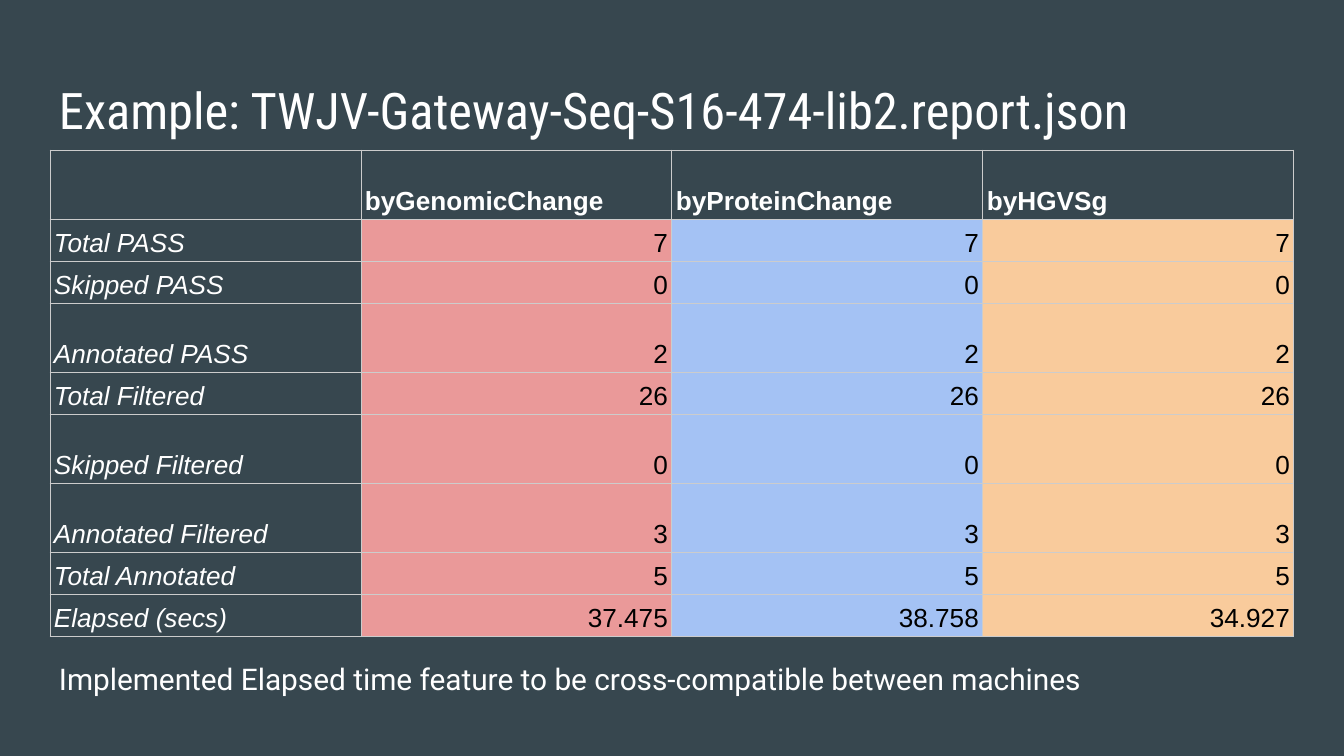
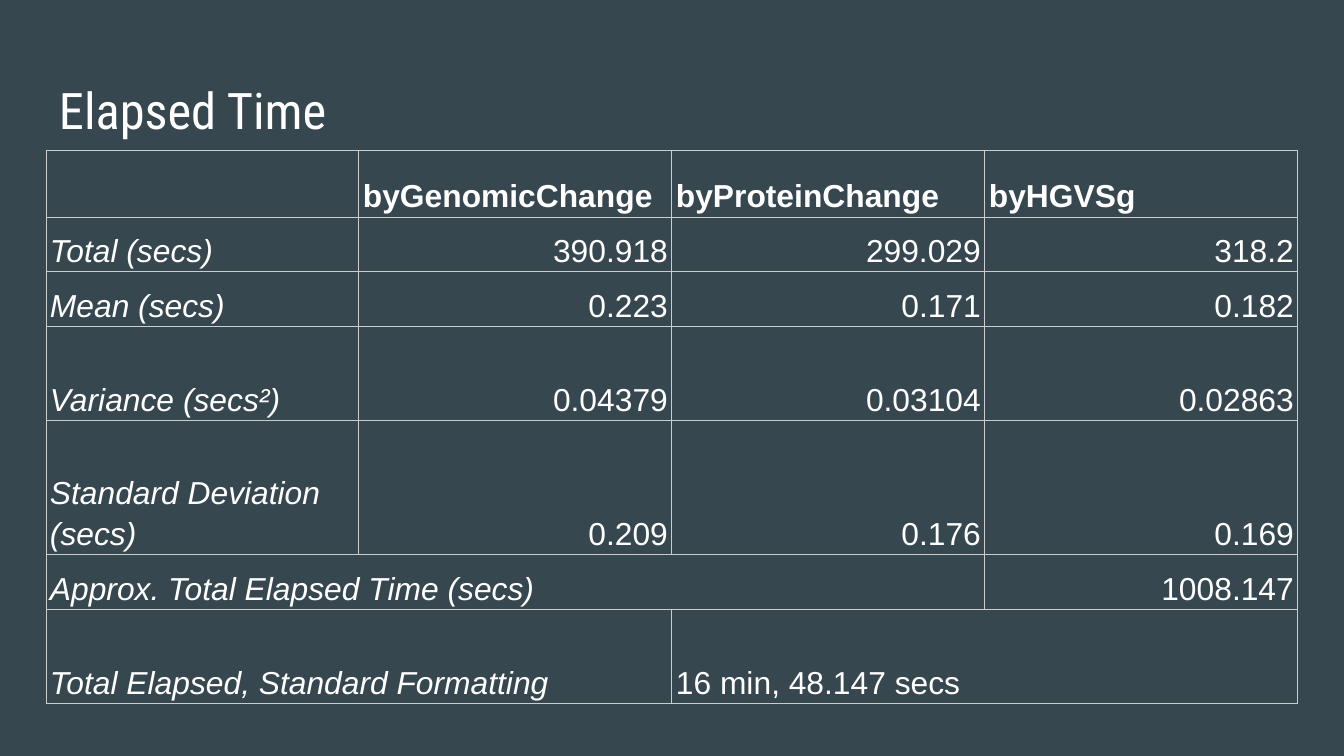
from lxml.etree import SubElement
from pptx import Presentation
from pptx.dml.color import RGBColor
from pptx.enum.text import MSO_ANCHOR, PP_ALIGN
from pptx.oxml.ns import qn
from pptx.util import Emu, Pt

BACKGROUND = RGBColor(0x37, 0x47, 0x4F)
WHITE = RGBColor(0xFF, 0xFF, 0xFF)
BLACK = RGBColor(0x00, 0x00, 0x00)
BORDER = RGBColor(0xCC, 0xCC, 0xCC)
RED = RGBColor(0xEA, 0x99, 0x99)
BLUE = RGBColor(0xA4, 0xC2, 0xF4)
ORANGE = RGBColor(0xF9, 0xCB, 0x9C)

SLIDE_W, SLIDE_H = 1344, 756
TEXT_X, TEXT_W = 46, 1252
TABLE_Y = 150
SHORT, TALL = 39, 69

HEADER = ["", "byGenomicChange", "byProteinChange", "byHGVSg"]
REPORT = [
    (SHORT, ["Total PASS", "7", "7", "7"]),
    (SHORT, ["Skipped PASS", "0", "0", "0"]),
    (TALL, ["Annotated PASS", "2", "2", "2"]),
    (SHORT, ["Total Filtered", "26", "26", "26"]),
    (TALL, ["Skipped Filtered", "0", "0", "0"]),
    (TALL, ["Annotated Filtered", "3", "3", "3"]),
    (SHORT, ["Total Annotated", "5", "5", "5"]),
    (SHORT, ["Elapsed (secs)", "37.475", "38.758", "34.927"]),
]
ELAPSED = [
    (55, ["Total (secs)", "390.918", "299.029", "318.2"]),
    (55, ["Mean (secs)", "0.223", "0.171", "0.182"]),
    (94, ["Variance (secs²)", "0.04379", "0.03104", "0.02863"]),
    (134, ["Standard Deviation (secs)", "0.209", "0.176", "0.169"]),
    (55, ["Approx. Total Elapsed Time (secs)", "", "", "1008.147"]),
    (94, ["Total Elapsed, Standard Formatting", "", "16 min, 48.147 secs", ""]),
]


def px(n):
    """Turn pixels into EMU."""
    return Emu(round(n * 9144000 / SLIDE_W))


def add_run(p, text, font, size, color=WHITE, bold=False, italic=False):
    """Add one formatted run to a paragraph."""
    r = p.add_run()
    r.text = text
    r.font.name = font
    r.font.size = Pt(size)
    r.font.color.rgb = color
    r.font.bold = bold
    r.font.italic = italic


def add_text(slide, y, h, text, font, size):
    """Add a full-width text box and return its paragraph."""
    tf = slide.shapes.add_textbox(px(TEXT_X), px(y), px(TEXT_W), px(h)).text_frame
    tf.word_wrap = True
    tf.margin_left = tf.margin_right = tf.margin_top = tf.margin_bottom = px(13)
    p = tf.paragraphs[0]
    add_run(p, text, font, size)
    return p


def add_slide(prs, title):
    """Add a dark slide with its title."""
    slide = prs.slides.add_slide(prs.slide_layouts[6])
    slide.background.fill.solid()
    slide.background.fill.fore_color.rgb = BACKGROUND
    add_text(slide, 66, 85, title, "Roboto Condensed", 27)
    return slide


def set_borders(cell):
    """Draw a thin line on all four sides of a cell."""
    tc_pr = cell._tc.get_or_add_tcPr()
    for i, side in enumerate(("a:lnL", "a:lnR", "a:lnT", "a:lnB")):
        ln = SubElement(tc_pr, qn(side), w=str(Pt(0.6)))
        fill = SubElement(ln, qn("a:solidFill"))
        SubElement(fill, qn("a:srgbClr"), val=str(BORDER))
        tc_pr.insert(i, ln)


def style_cell(cell, fill):
    """Set the fill, margins, anchor and borders of a cell."""
    if fill is None:
        cell.fill.background()
    else:
        cell.fill.solid()
        cell.fill.fore_color.rgb = fill
    cell.margin_left = cell.margin_right = px(4)
    cell.margin_top = cell.margin_bottom = px(3)
    cell.vertical_anchor = MSO_ANCHOR.BOTTOM
    set_borders(cell)


def add_table(slide, x, col_w, header_h, body, size, fills=(None,) * 3, color=WHITE):
    """Add a table with bold headings, italic labels and right-aligned values."""
    rows = [(header_h, HEADER)] + body
    height = sum(h for h, _ in rows)
    frame = slide.shapes.add_table(len(rows), len(HEADER), px(x), px(TABLE_Y),
                                   px(col_w * len(HEADER)), px(height))
    table = frame.table
    table.first_row = table.horz_banding = False
    for col in table.columns:
        col.width = px(col_w)
    for i, (h, texts) in enumerate(rows):
        table.rows[i].height = px(h)
        for j, text in enumerate(texts):
            cell = table.cell(i, j)
            is_value = i > 0 and j > 0
            style_cell(cell, fills[j - 1] if is_value else None)
            if not text:
                continue
            p = cell.text_frame.paragraphs[0]
            p.line_spacing = 1.15
            p.alignment = PP_ALIGN.RIGHT if is_value else PP_ALIGN.LEFT
            add_run(p, text, "Arial", size, color if is_value else WHITE,
                    bold=i == 0, italic=i > 0 and j == 0)
    return table


def build_report(prs):
    """Build the slide with the example report."""
    slide = add_slide(prs, "Example: TWJV-Gateway-Seq-S16-474-lib2.report.json")
    p = add_text(slide, 642, 66,
                 "Implemented Elapsed time feature to be cross-compatible between machines",
                 "Roboto", 16)
    p.line_spacing = 1.15
    p.space_after = Pt(12)
    add_table(slide, 50, 311, TALL, REPORT, 14, (RED, BLUE, ORANGE), BLACK)


def build_elapsed(prs):
    """Build the slide with the elapsed times."""
    slide = add_slide(prs, "Elapsed Time")
    table = add_table(slide, 46, 313, 67, ELAPSED, 17)
    table.cell(5, 0).merge(table.cell(5, 2))
    table.cell(6, 0).merge(table.cell(6, 1))
    table.cell(6, 2).merge(table.cell(6, 3))
    table.cell(6, 2).text_frame.paragraphs[0].alignment = PP_ALIGN.LEFT


def main():
    """Build and save the presentation."""
    prs = Presentation()
    prs.slide_width, prs.slide_height = px(SLIDE_W), px(SLIDE_H)
    build_report(prs)
    build_elapsed(prs)
    prs.save("out.pptx")


if __name__ == "__main__":
    main()
